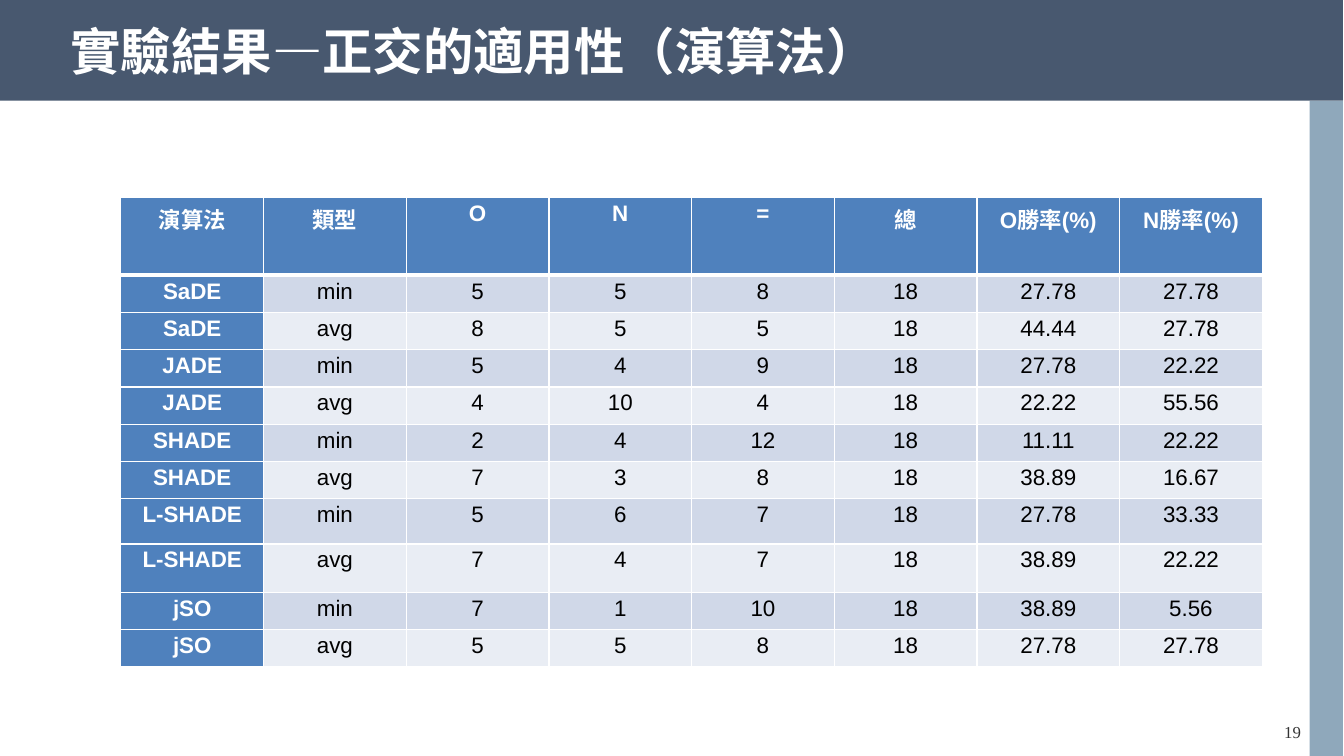
from dataclasses import dataclass

from lxml.etree import SubElement
from pptx import Presentation
from pptx.dml.color import RGBColor
from pptx.enum.shapes import MSO_SHAPE
from pptx.enum.text import MSO_ANCHOR, PP_ALIGN
from pptx.oxml.ns import qn
from pptx.util import Inches, Pt


@dataclass(frozen=True)
class Theme:
    band: str = "48586F"
    side: str = "25557B"
    head: str = "4F81BD"
    odd: str = "D0D8E8"
    even: str = "E9EDF4"
    white: str = "FFFFFF"
    black: str = "000000"
    gray: str = "333333"
    sans: str = "Arial"
    serif: str = "Times New Roman"
    title: int = 36
    body: int = 16
    small: int = 12


THEME = Theme()
HEADS = ["演算法", "類型", "O", "N", "=", "總", "O勝率(%)", "N勝率(%)"]
SCORES = [
    ("SaDE", "min", 5, 5, 8),
    ("SaDE", "avg", 8, 5, 5),
    ("JADE", "min", 5, 4, 9),
    ("JADE", "avg", 4, 10, 4),
    ("SHADE", "min", 2, 4, 12),
    ("SHADE", "avg", 7, 3, 8),
    ("L-SHADE", "min", 5, 6, 7),
    ("L-SHADE", "avg", 7, 4, 7),
    ("jSO", "min", 7, 1, 10),
    ("jSO", "avg", 5, 5, 8),
]
TALL = {0: 0.77, 7: 0.45, 8: 0.48}
ROW = 0.37


def add_run(para, text, size, color, font=THEME.sans, bold=False):
    run = para.add_run()
    run.text = text
    run.font.size = Pt(size)
    run.font.name = font
    run.font.bold = bold
    run.font.color.rgb = RGBColor.from_string(color)


def add_rect(slide, box, color, alpha=None):
    rect = slide.shapes.add_shape(MSO_SHAPE.RECTANGLE, *map(Inches, box))
    rect.shadow.inherit = False
    rect.fill.solid()
    rect.fill.fore_color.rgb = RGBColor.from_string(color)
    rect.line.fill.background()
    if alpha:
        tint = rect.fill._xPr.find(qn("a:solidFill"))[0]
        SubElement(tint, qn("a:alpha"), val=str(alpha * 1000))


def add_title(slide, box, text):
    left, top, width, height = box
    add_rect(slide, box, THEME.band)
    place = left + 0.7, top + 0.17, width - 0.94, height - 0.26
    frame = slide.shapes.add_textbox(*map(Inches, place)).text_frame
    frame.word_wrap = True
    frame.vertical_anchor = MSO_ANCHOR.MIDDLE
    frame.margin_left = frame.margin_right = 0
    frame.margin_top = frame.margin_bottom = 0
    para = frame.paragraphs[0]
    para.line_spacing = 0.9
    add_run(para, text, THEME.title, THEME.white, bold=True)


def add_side(slide, box, number):
    left, top, width, height = box
    add_rect(slide, box, THEME.side, 51)
    place = left - 0.78, top + height - 0.39, 1.22, 0.28
    frame = slide.shapes.add_textbox(*map(Inches, place)).text_frame
    frame.word_wrap = True
    para = frame.paragraphs[0]
    para.alignment = PP_ALIGN.CENTER
    add_run(para, number, THEME.small, THEME.gray, THEME.serif)


def add_edges(cell, sizes):
    props = cell._tc.get_or_add_tcPr()
    for side, size in zip("LRTB", sizes):
        line = SubElement(props, qn(f"a:ln{side}"), w=str(Pt(size)))
        fill = SubElement(line, qn("a:solidFill"))
        SubElement(fill, qn("a:srgbClr"), val=THEME.white)


def fill_cell(cell, text, row, col):
    strong = row == 0 or col == 0
    add_edges(cell, (1, 1, 3 if row == 1 else 1, 3 if row == 0 else 1))
    cell.fill.solid()
    shade = THEME.head if strong else THEME.odd if row % 2 else THEME.even
    cell.fill.fore_color.rgb = RGBColor.from_string(shade)
    cell.margin_left = cell.margin_right = Inches(0.07)
    cell.margin_top = cell.margin_bottom = 0
    para = cell.text_frame.paragraphs[0]
    para.alignment = PP_ALIGN.CENTER
    para.line_spacing = 1.15
    para.space_after = Pt(10)
    color = THEME.white if strong else THEME.black
    add_run(para, text, THEME.body, color, bold=strong)


def make_rows():
    yield HEADS
    for name, kind, *wins in SCORES:
        total = sum(wins)
        rates = [f"{100 * win / total:.2f}" for win in wins[:2]]
        yield [name, kind, *map(str, wins), str(total), *rates]


def add_scores(slide, box):
    rows = list(make_rows())
    frame = slide.shapes.add_table(len(rows), len(HEADS), *map(Inches, box))
    table = frame.table
    for col in table.columns:
        col.width = Inches(box[2] / len(HEADS))
    for row, texts in enumerate(rows):
        table.rows[row].height = Inches(TALL.get(row, ROW))
        for col, text in enumerate(texts):
            fill_cell(table.cell(row, col), text, row, col)


def main():
    deck = Presentation()
    deck.slide_width = Inches(13.34)
    deck.slide_height = Inches(7.5)
    slide = deck.slides.add_slide(deck.slide_layouts[6])
    add_title(slide, (0, 0, 13.33, 1), "實驗結果—正交的適用性（演算法）")
    add_side(slide, (13, 1, 0.33, 6.5), "19")
    add_scores(slide, (1.2, 1.96, 11.33, 4.63))
    deck.save("out.pptx")


if __name__ == "__main__":
    main()
